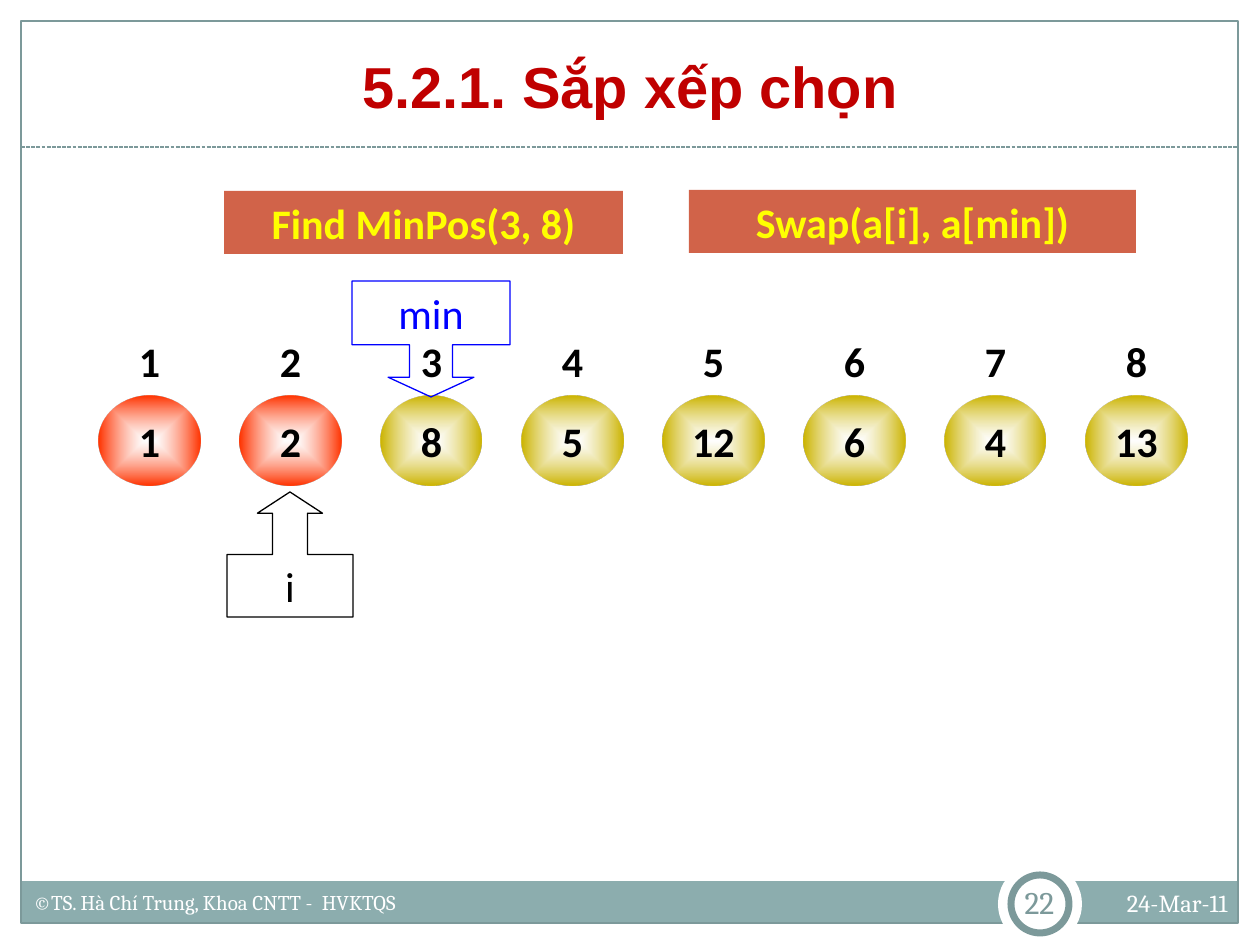
from lxml import etree
from pptx import Presentation
from pptx.dml.color import RGBColor
from pptx.enum.dml import MSO_LINE
from pptx.enum.shapes import MSO_CONNECTOR, MSO_SHAPE
from pptx.enum.text import MSO_ANCHOR, PP_ALIGN
from pptx.oxml.ns import qn
from pptx.util import Emu, Pt

RECTANGLE, OVAL = MSO_SHAPE.RECTANGLE, MSO_SHAPE.OVAL
UP_CALLOUT, DOWN_CALLOUT = MSO_SHAPE.UP_ARROW_CALLOUT, MSO_SHAPE.DOWN_ARROW_CALLOUT
STRAIGHT, DASH = MSO_CONNECTOR.STRAIGHT, MSO_LINE.SQUARE_DOT
LEFT, CENTER, RIGHT = PP_ALIGN.LEFT, PP_ALIGN.CENTER, PP_ALIGN.RIGHT
TOP, MIDDLE, BOTTOM = MSO_ANCHOR.TOP, MSO_ANCHOR.MIDDLE, MSO_ANCHOR.BOTTOM

WHITE, BLACK, BLUE, YELLOW = "FFFFFF", "000000", "0000FF", "FFFF00"
TEAL, BAR, BRICK, TITLE_RED = "7C999A", "8CADAE", "D16349", "C00000"
SORTED, UNSORTED = "FF3300", "CCB400"
EMU_PER_PX = 914400 / 126


def px(length):
    return Emu(round(length * EMU_PER_PX))


def color(value):
    return RGBColor.from_string(value)


class SlideBuilder:
    body_font = "Calibri"
    footer_font = "Cambria"
    body_size = 24

    def __init__(self, slide):
        self.slide = slide

    def style_text(self, shape, text, ink, size, font, bold, align, anchor):
        frame = shape.text_frame
        frame.text = text
        frame.vertical_anchor = anchor
        paragraph = frame.paragraphs[0]
        paragraph.alignment = align
        for run in paragraph.runs:
            run.font.name = font
            run.font.size = Pt(size)
            run.font.bold = bold
            run.font.color.rgb = color(ink)

    def shape(self, kind, box, fill=None, line=None, weight=0.75):
        shape = self.slide.shapes.add_shape(kind, *map(px, box))
        shape.shadow.inherit = False
        if fill:
            shape.fill.solid()
            shape.fill.fore_color.rgb = color(fill)
        else:
            shape.fill.background()
        if line:
            shape.line.color.rgb = color(line)
            shape.line.width = Pt(weight)
        else:
            shape.line.fill.background()
        return shape

    def label(self, kind, box, text, ink=BLACK, bold=True, **style):
        shape = self.shape(kind, box, **style)
        self.style_text(shape, text, ink, self.body_size, self.body_font, bold, CENTER, MIDDLE)
        shape.text_frame.word_wrap = False
        return shape

    def ball(self, box, text, rim):
        shape = self.label(OVAL, box, text)
        shape.fill.gradient()
        for stop, value in zip(shape.fill.gradient_stops, (WHITE, rim)):
            stop.color.rgb = color(value)
        gradient = shape.element.spPr.find(qn("a:gradFill"))
        center_color = gradient.find(".//" + qn("a:srgbClr"))
        etree.SubElement(center_color, qn("a:alpha"), val="60000")
        gradient.remove(gradient.find(qn("a:lin")))
        radial = etree.SubElement(gradient, qn("a:path"))
        radial.set("path", "shape")
        sides = dict.fromkeys("ltrb", "50000")
        etree.SubElement(radial, qn("a:fillToRect"), **sides)

    def callout(self, kind, box, text, ink, adjustments):
        shape = self.label(kind, box, text, ink, bold=False, line=ink)
        for index, value in enumerate(adjustments):
            shape.adjustments[index] = value

    def text(self, box, text, ink, size, font=footer_font, bold=False,
             align=LEFT, anchor=TOP, inset=None):
        shape = self.slide.shapes.add_textbox(*map(px, box))
        frame = shape.text_frame
        frame.word_wrap = True
        if inset is not None:
            frame.margin_left = frame.margin_right = px(inset)
            frame.margin_top = frame.margin_bottom = px(inset)
        self.style_text(shape, text, ink, size, font, bold, align, anchor)

    def dashed_rule(self, left, right, top):
        rule = self.slide.shapes.add_connector(STRAIGHT, px(left), px(top), px(right), px(top))
        rule.line.color.rgb = color(TEAL)
        rule.line.width = Pt(0.75)
        rule.line.dash_style = DASH
        etree.SubElement(rule.element.spPr, qn("a:effectLst"))


def main():
    presentation = Presentation()
    presentation.slide_width, presentation.slide_height = px(1260), px(945)
    builder = SlideBuilder(presentation.slides.add_slide(presentation.slide_layouts[6]))

    for box in ((0, 0, 1260, 162), (0, 0, 21, 945), (1239, 0, 21, 945)):
        builder.shape(RECTANGLE, box, WHITE)
    builder.shape(RECTANGLE, (21, 881, 1217, 42), BAR)
    builder.shape(RECTANGLE, (21, 21, 1217, 902), line=TEAL)
    builder.dashed_rule(21, 1238, 147)
    builder.shape(OVAL, (998, 862, 84, 84), WHITE)
    builder.shape(OVAL, (1011, 875, 58, 58), WHITE, TEAL, 4)

    values = (1, 2, 8, 5, 12, 6, 4, 13)
    sorted_count = 2
    first_left, pitch, width, height = 99, 141, 101, 90
    lefts = [first_left + pitch * index for index in range(len(values))]
    for index, (left, value) in enumerate(zip(lefts, values)):
        rim = SORTED if index < sorted_count else UNSORTED
        builder.ball((left, 396, width, height), str(value), rim)

    builder.callout(UP_CALLOUT, (227, 492, 126, 125), "i", BLACK, (0.28, 0.26, 0.17, 0.5))
    builder.callout(DOWN_CALLOUT, (352, 281, 158, 116), "min", BLUE, (0.37, 0.37, 0.17, 0.55))

    for position, left in enumerate(lefts, 1):
        builder.label(OVAL, (left, 316, width, height), str(position))

    builder.label(RECTANGLE, (224, 191, 399, 63), "Find MinPos(3, 8)", YELLOW, fill=BRICK)
    builder.label(RECTANGLE, (689, 190, 447, 63), "Swap(a[i], a[min])", YELLOW, fill=BRICK)

    builder.text((42, 31, 1176, 95), "5.2.1. Sắp xếp chọn", TITLE_RED, 33, "Arial", True,
                 CENTER, BOTTOM)
    builder.text((1061, 882, 179, 42), "24-Mar-11", WHITE, 14, align=RIGHT)
    builder.text((21, 883, 756, 39), "©TS. Hà Chí Trung, Khoa CNTT -  HVKTQS", WHITE, 12)
    builder.text((1008, 872, 63, 60), "22", TEAL, 18, align=CENTER, anchor=MIDDLE, inset=6)

    presentation.save("out.pptx")


if __name__ == "__main__":
    main()
